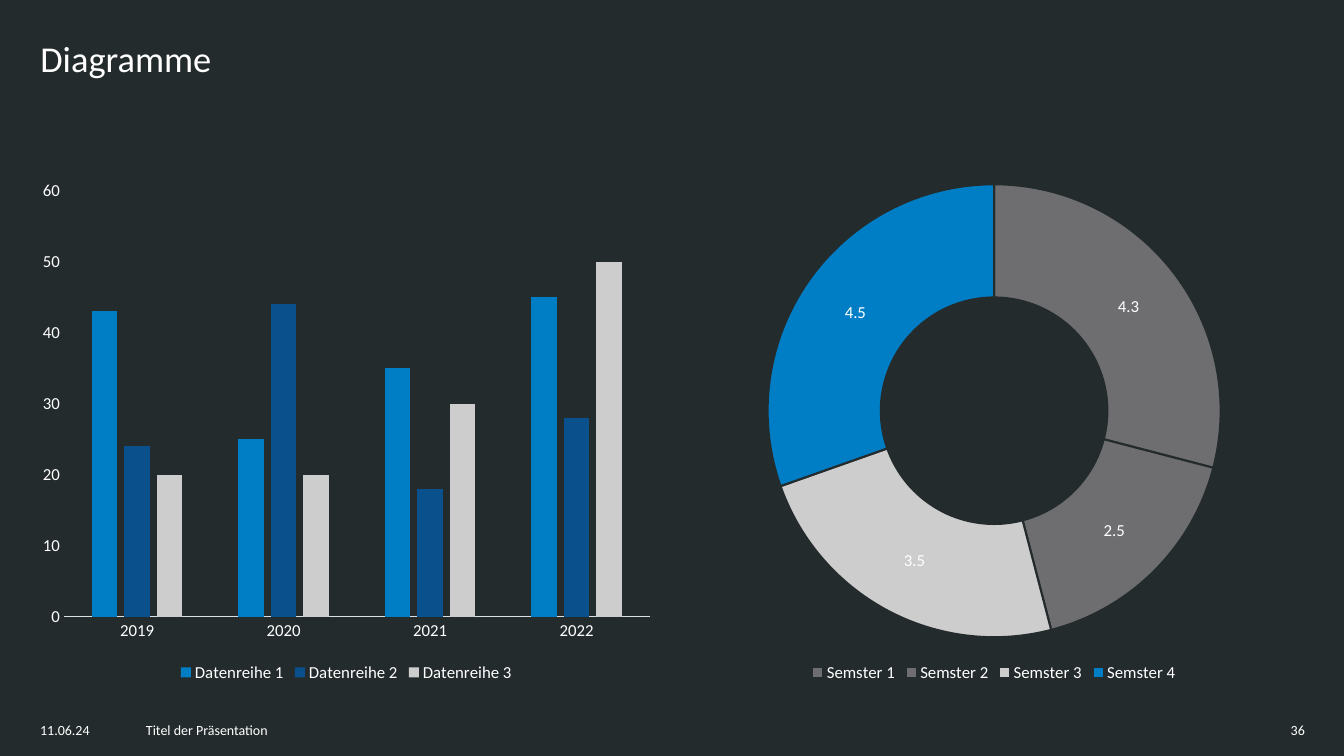
from pptx import Presentation
from pptx.chart.data import CategoryChartData
from pptx.dml.color import RGBColor
from pptx.enum import chart as ch, text as tx
from pptx.util import Inches, Pt

DARK = RGBColor(0x24, 0x2B, 0x2D)
WHITE = RGBColor(0xFF, 0xFF, 0xFF)
AXIS = RGBColor(0xDB, 0xE1, 0xE2)
BLUE = RGBColor(0x00, 0x7E, 0xC5)
NAVY = RGBColor(0x0A, 0x50, 0x8C)
LIGHT = RGBColor(0xCE, 0xCD, 0xCD)
GREY = RGBColor(0x6E, 0x6E, 0x70)


class SlideBuilder:
    face = "Calibri"

    def __init__(self, prs):
        self.s = prs.slides.add_slide(prs.slide_layouts[5])
        fill = self.s.background.fill
        fill.solid()
        fill.fore_color.rgb = DARK

    def font(self, font, size, color=WHITE):
        font.name, font.size, font.bold = self.face, Pt(size), False
        font.color.rgb = color

    def set_text(self, sp, text, size, align=tx.PP_ALIGN.LEFT):
        tf = sp.text_frame
        tf.text = text
        tf.word_wrap = True
        tf.auto_size = tx.MSO_AUTO_SIZE.NONE
        tf.vertical_anchor = tx.MSO_ANCHOR.TOP
        p = tf.paragraphs[0]
        p.alignment = align
        self.font(p.runs[0].font, size)

    def title(self, text):
        sp = self.s.shapes.title
        sp.left, sp.top = Inches(0.3), Inches(0.3)
        sp.width, sp.height = Inches(12.2), Inches(1.1)
        self.set_text(sp, text, 26)
        tf = sp.text_frame
        tf.margin_left = tf.margin_right = Inches(0.1)
        tf.margin_top = tf.margin_bottom = Inches(0.06)

    def footer(self, text, left, width, align=tx.PP_ALIGN.LEFT):
        sp = self.s.shapes.add_textbox(
            Inches(left), Inches(7.11), Inches(width), Inches(0.31))
        self.set_text(sp, text, 10, align)

    def chart(self, kind, left, width, categories, series):
        """Add a chart with a bottom legend; series maps names to values."""
        data = CategoryChartData()
        data.categories = categories
        for name, values in series.items():
            data.add_series(name, values)
        chart = self.s.shapes.add_chart(
            kind, Inches(left), Inches(1.69), Inches(width), Inches(5.12),
            data).chart
        self.font(chart.font, 10, DARK)
        chart.has_title = False
        chart.has_legend = True
        chart.legend.position = ch.XL_LEGEND_POSITION.BOTTOM
        chart.legend.include_in_layout = False
        self.font(chart.legend.font, 12)
        return chart

    def columns(self, left, width, categories, series, colors):
        chart = self.chart(ch.XL_CHART_TYPE.COLUMN_CLUSTERED,
                           left, width, categories, series)
        plot = chart.plots[0]
        plot.vary_by_categories = False
        plot.gap_width, plot.overlap = 219, -27
        for ser, color in zip(plot.series, colors):
            ser.format.fill.solid()
            ser.format.fill.fore_color.rgb = color
        for axis in (chart.category_axis, chart.value_axis):
            axis.has_major_gridlines = False
            axis.major_tick_mark = axis.minor_tick_mark = ch.XL_TICK_MARK.NONE
            self.font(axis.tick_labels.font, 12)
        line = chart.category_axis.format.line
        line.color.rgb, line.width = AXIS, Pt(0.75)
        axis = chart.value_axis
        axis.format.line.fill.background()
        axis.minimum_scale, axis.maximum_scale, axis.major_unit = 0, 60, 10

    def doughnut(self, left, width, categories, series, colors):
        chart = self.chart(ch.XL_CHART_TYPE.DOUGHNUT,
                           left, width, categories, series)
        plot = chart.plots[0]
        plot.vary_by_categories = True
        for hole in chart.element.xpath(".//c:holeSize"):
            hole.set("val", "75")
        ser = plot.series[0]
        for i, color in enumerate(colors):
            fmt = ser.points[i].format
            fmt.fill.solid()
            fmt.fill.fore_color.rgb = color
            fmt.line.color.rgb, fmt.line.width = DARK, Pt(1.5)
        labels = ser.data_labels
        labels.show_value = True
        labels.show_percentage = False
        self.font(labels.font, 12)


def main():
    prs = Presentation()
    prs.slide_width, prs.slide_height = Inches(13.33), Inches(7.5)
    b = SlideBuilder(prs)
    b.title("Diagramme")
    b.columns(0.3, 6.27, ["2019", "2020", "2021", "2022"],
              {"Datenreihe 1": (43, 25, 35, 45),
               "Datenreihe 2": (24, 44, 18, 28),
               "Datenreihe 3": (20, 20, 30, 50)},
              (BLUE, NAVY, LIGHT))
    b.doughnut(6.67, 6.38, [f"Semster {n}" for n in range(1, 5)],
               {"Series 1": (4.3, 2.5, 3.5, 4.5)},
               (GREY, GREY, LIGHT, BLUE))
    b.footer("11.06.24", 0.3, 0.98)
    b.footer("Titel der Präsentation", 1.35, 10.63)
    b.footer("36", 12.25, 0.79, tx.PP_ALIGN.RIGHT)
    prs.save("out.pptx")


if __name__ == "__main__":
    main()
